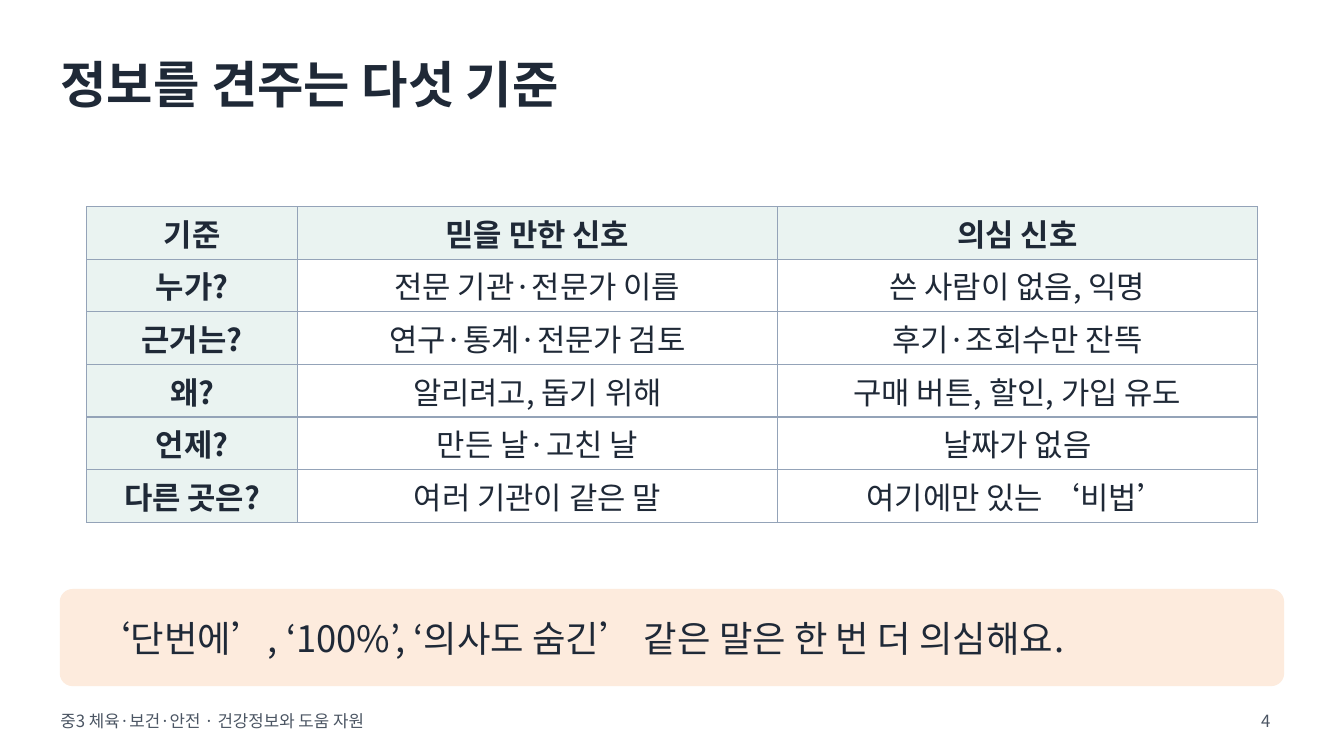
"""Build the slide that compares signals of trustworthy and doubtful health information."""
from lxml import etree
from pptx import Presentation
from pptx.dml.color import RGBColor
from pptx.enum.shapes import MSO_SHAPE
from pptx.enum.text import MSO_ANCHOR, MSO_AUTO_SIZE, PP_ALIGN
from pptx.oxml.ns import qn
from pptx.util import Inches, Pt

FONT = "Noto Sans CJK KR"
INK, GRAY, RULE = "1F2937", "4B5563", "94A3B8"
MINT, PEACH, WHITE = "EAF3F1", "FDEBDD", "FFFFFF"
WIDTH, HEIGHT, MARGIN = 13.33, 7.5, 0.6
CONTENT = WIDTH - 2 * MARGIN


def paint(fill, color):
    fill.solid()
    fill.fore_color.rgb = RGBColor.from_string(color)


def write(frame, text, size, color=INK, bold=False, align=PP_ALIGN.LEFT, inset=0):
    frame.word_wrap = True
    frame.auto_size = MSO_AUTO_SIZE.NONE
    frame.vertical_anchor = MSO_ANCHOR.MIDDLE
    frame.margin_left = frame.margin_right = Inches(inset)
    frame.margin_top = frame.margin_bottom = Inches(inset)
    paragraph = frame.paragraphs[0]
    paragraph.alignment = align
    run = paragraph.add_run()
    run.text = text
    run.font.name, run.font.size, run.font.bold = FONT, Pt(size), bold
    paint(run.font.fill, color)
    etree.SubElement(run.font._element, qn("a:ea"), typeface=FONT)


prs = Presentation()
prs.slide_width, prs.slide_height = Inches(WIDTH), Inches(HEIGHT)
slide = prs.slides.add_slide(prs.slide_layouts[5])
paint(slide.background.fill, WHITE)

title = slide.shapes.title
title.left, title.top = Inches(MARGIN), Inches(0.35)
title.width, title.height = Inches(CONTENT), Inches(0.95)
write(title.text_frame, "정보를 견주는 다섯 기준", 36, bold=True)

criteria = [
    ("기준", "믿을 만한 신호", "의심 신호"),
    ("누가?", "전문 기관·전문가 이름", "쓴 사람이 없음, 익명"),
    ("근거는?", "연구·통계·전문가 검토", "후기·조회수만 잔뜩"),
    ("왜?", "알리려고, 돕기 위해", "구매 버튼, 할인, 가입 유도"),
    ("언제?", "만든 날·고친 날", "날짜가 없음"),
    ("다른 곳은?", "여러 기관이 같은 말", "여기에만 있는 ‘비법’"),
]
column_widths = [2.09, 4.76, 4.76]
row_height = 0.52
table_width = sum(column_widths)
table = slide.shapes.add_table(
    len(criteria), len(column_widths), Inches((WIDTH - table_width) / 2), Inches(2.05),
    Inches(table_width), Inches(row_height * len(criteria))).table
table.first_row = table.horz_banding = False
for column, width in zip(table.columns, column_widths):
    column.width = Inches(width)
for r, criterion in enumerate(criteria):
    table.rows[r].height = Inches(row_height)
    for c, text in enumerate(criterion):
        cell = table.cell(r, c)
        heading = r == 0 or c == 0
        write(cell.text_frame, text, 22, bold=heading, align=PP_ALIGN.CENTER)
        cell.vertical_anchor = MSO_ANCHOR.MIDDLE
        cell.margin_left = cell.margin_right = Inches(0.04)
        cell.margin_top = cell.margin_bottom = Inches(0.04)
        properties = cell._tc.get_or_add_tcPr()
        for side in ("lnL", "lnR", "lnT", "lnB"):
            border = etree.SubElement(properties, qn(f"a:{side}"), w=str(Pt(1)))
            border_fill = etree.SubElement(border, qn("a:solidFill"))
            etree.SubElement(border_fill, qn("a:srgbClr"), val=RULE)
        paint(cell.fill, MINT if heading else WHITE)

callout = slide.shapes.add_shape(
    MSO_SHAPE.ROUNDED_RECTANGLE, Inches(MARGIN), Inches(5.85), Inches(CONTENT), Inches(0.95))
callout.adjustments[0] = 0.126
callout.shadow.inherit = False
paint(callout.fill, PEACH)
paint(callout.line.fill, PEACH)
callout.line.width = Pt(1)
write(callout.text_frame, "‘단번에’, ‘100%’, ‘의사도 숨긴’ 같은 말은 한 번 더 의심해요.", 26)
callout.text_frame.margin_left = callout.text_frame.margin_right = Inches(MARGIN / 2)

footers = [
    (MARGIN, 9.5, "중3 체육·보건·안전 · 건강정보와 도움 자원", PP_ALIGN.LEFT, 0),
    (11.9, 0.8, "4", PP_ALIGN.RIGHT, 0.1),
]
for left, width, text, align, inset in footers:
    footer = slide.shapes.add_textbox(Inches(left), Inches(6.98), Inches(width), Inches(0.35))
    write(footer.text_frame, text, 12, GRAY, align=align, inset=inset)

prs.save("out.pptx")
